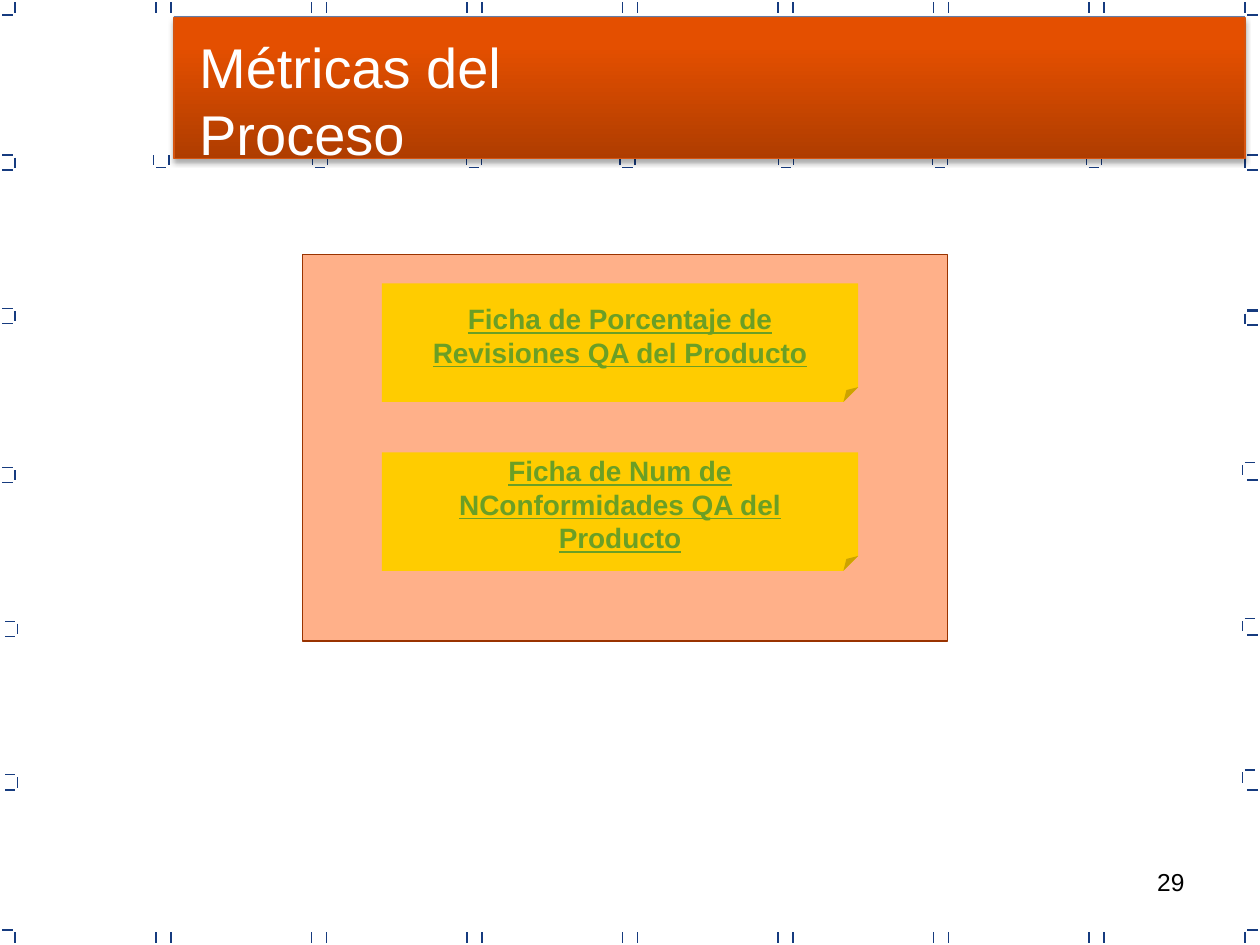
from lxml.etree import SubElement
from pptx import Presentation
from pptx.dml.color import RGBColor
from pptx.enum.shapes import MSO_CONNECTOR, MSO_SHAPE
from pptx.enum.text import MSO_ANCHOR, MSO_AUTO_SIZE, PP_ALIGN
from pptx.oxml.ns import qn
from pptx.util import Pt

NAVY = RGBColor(0x16, 0x3B, 0x7F)
PEACH = RGBColor(0xFF, 0xB0, 0x89)
RUST = RGBColor(0x99, 0x33, 0x00)
YELLOW = RGBColor(0xFF, 0xCC, 0x00)
GREEN = RGBColor(0x6B, 0x9F, 0x25)
DARK_ORANGE = RGBColor(0xAF, 0x3D, 0x00)
ORANGE = RGBColor(0xE4, 0x4F, 0x00)
EDGE_ORANGE = RGBColor(0xD5, 0x55, 0x11)
WHITE = RGBColor(0xFF, 0xFF, 0xFF)
BLACK = RGBColor(0x00, 0x00, 0x00)

TICK = 5.8
GAP = 1.4
SPAN = TICK + 2 * GAP

deck = Presentation()
deck.slide_width = Pt(720)
deck.slide_height = Pt(540)
page = deck.slides.add_slide(deck.slide_layouts[5])


def add_tick(x, y, across=0, down=0):
    line = page.shapes.add_connector(
        MSO_CONNECTOR.STRAIGHT, Pt(x), Pt(y), Pt(x + across), Pt(y + down))
    line.line.color.rgb = NAVY
    line.line.width = Pt(0.75)
    SubElement(line._element.spPr, qn("a:effectLst"))


def add_block(kind, left, top, width, height, color=None, edge=None):
    block = page.shapes.add_shape(kind, Pt(left), Pt(top), Pt(width), Pt(height))
    block.shadow.inherit = False
    if color is not None:
        block.fill.solid()
        block.fill.fore_color.rgb = color
    if edge is None:
        block.line.fill.background()
    else:
        block.line.color.rgb = edge
        block.line.width = Pt(0.75)
    return block


for column in range(7):
    right = 97.8 + 88.85 * column
    for x in (right - SPAN, right):
        for y in (GAP, 532.8):
            add_tick(x, y, down=TICK)

for y in (GAP, 532.8):
    for x in (8.6, 711.4):
        add_tick(x, y, down=TICK)
for y in (8.6, 531.4):
    for x in (GAP, 712.8):
        add_tick(x, y, across=TICK)

for x, bottom in ((8.6, 97.2), (8.6, 185), (8.6, 275.8), (10.1, 363.6), (10.1, 451.4)):
    add_tick(x, bottom - GAP - TICK, down=TICK)
    for y in (bottom - SPAN, bottom):
        add_tick(x - GAP - TICK, y, across=TICK)

for x, top in ((711.4, 88.6), (711.4, 177.8), (709.9, 264.2), (709.9, 353.5), (709.9, 440)):
    add_tick(x, top + GAP, down=TICK)
    add_tick(x + GAP, top, across=TICK)
for y in (97.2, 177.1, 185.8, 274.3, 362.9, 451.4):
    add_tick(712.8, y, across=TICK)

add_block(MSO_SHAPE.RECTANGLE, 99.4, 9.4, 612, 79.2, NAVY)

for right in (96.5, 187.2, 275, 362.9, 453.6, 541.4, 629.3):
    for x in (right - SPAN, right):
        add_tick(x, 88.6, down=TICK)
    add_tick(right - GAP - TICK, 95.8, across=TICK)

add_block(MSO_SHAPE.RECTANGLE, 172.8, 145.4, 368.6, 221, PEACH, RUST)

cards = (
    (162, "Ficha de Porcentaje de Revisiones QA del Producto"),
    (258.5, "Ficha de Num de NConformidades QA del Producto"),
)
for top, label in cards:
    card = add_block(MSO_SHAPE.FOLDED_CORNER, 218.2, top, 272.2, 67.7, YELLOW)
    guides = card._element.spPr.find(qn("a:prstGeom")).find(qn("a:avLst"))
    SubElement(guides, qn("a:gd"), name="adj", fmla="val 12500")
    card.text_frame.word_wrap = True
    card.text_frame.vertical_anchor = MSO_ANCHOR.MIDDLE
    para = card.text_frame.paragraphs[0]
    para.alignment = PP_ALIGN.CENTER
    span = para.add_run()
    span.text = label
    span.font.name = "Arial"
    span.font.size = Pt(16)
    span.font.bold = True
    span.font.underline = True
    span.font.color.rgb = GREEN

banner = add_block(MSO_SHAPE.RECTANGLE, 99.4, 10.1, 612, 80.6, edge=EDGE_ORANGE)
banner.fill.gradient()
banner.fill.gradient_angle = 90
for stop, position, color in zip(banner.fill.gradient_stops, (0, 0.8), (DARK_ORANGE, ORANGE)):
    stop.position = position
    stop.color.rgb = color
effects = banner._element.spPr.find(qn("a:effectLst"))
shadow = SubElement(effects, qn("a:outerShdw"), blurRad=str(Pt(3.1)), dist=str(Pt(1.8)),
                    dir="5400000", rotWithShape="0")
shade = SubElement(shadow, qn("a:srgbClr"), val="000000")
SubElement(shade, qn("a:alpha"), val="35000")

title = page.shapes.title
page.shapes._spTree.append(title._element)
title.left, title.top, title.width, title.height = Pt(106.6), Pt(15.1), Pt(290), Pt(76)
number = page.shapes.add_textbox(Pt(516.2), Pt(491.8), Pt(167.8), Pt(37.4))
texts = (
    (title, "Métricas del Proceso", 32, WHITE, PP_ALIGN.LEFT),
    (number, "29", 14, BLACK, PP_ALIGN.RIGHT),
)
for box, words, size, color, alignment in texts:
    frame = box.text_frame
    frame.word_wrap = True
    frame.auto_size = MSO_AUTO_SIZE.NONE
    frame.vertical_anchor = MSO_ANCHOR.TOP
    para = frame.paragraphs[0]
    para.alignment = alignment
    span = para.add_run()
    span.text = words
    span.font.name = "Arial"
    span.font.size = Pt(size)
    span.font.color.rgb = color

deck.save("out.pptx")
